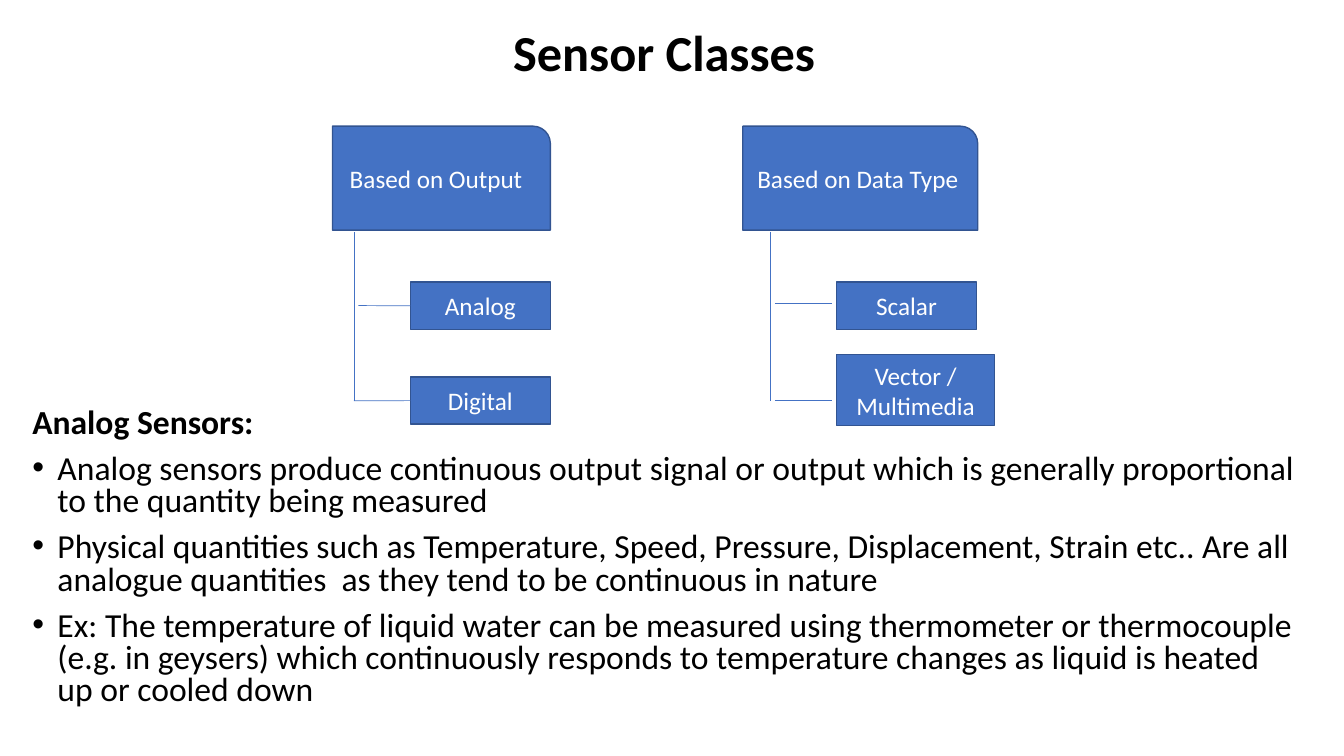
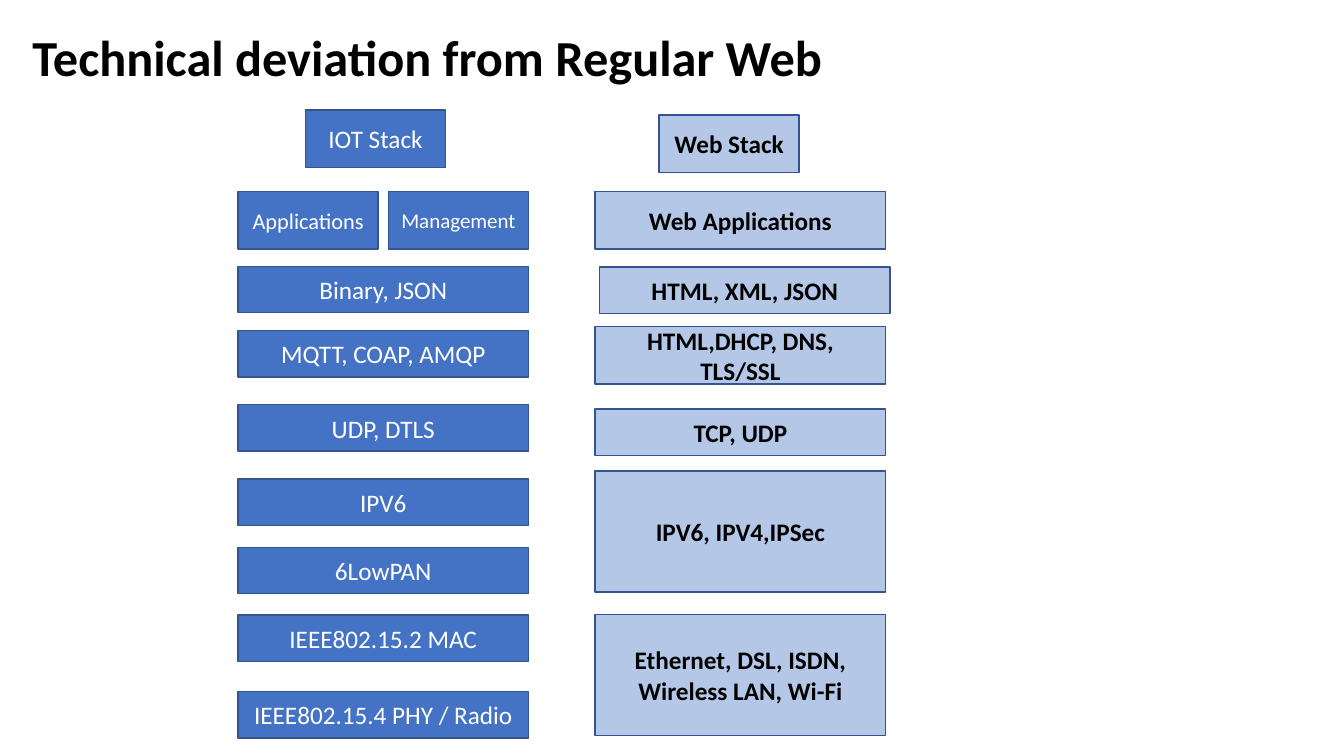
from lxml.etree import SubElement
from pptx import Presentation
from pptx.dml.color import RGBColor
from pptx.enum.shapes import MSO_CONNECTOR, MSO_SHAPE
from pptx.enum.text import MSO_ANCHOR, MSO_AUTO_SIZE, PP_ALIGN
from pptx.oxml.ns import qn
from pptx.util import Cm, Pt

# Shared style
FONT = "Calibri"
BLUE, PALE, EDGE = "4472C4", "B4C7E7", "325491"
BLACK, WHITE = "000000", "FFFFFF"
MARGIN, TEXT_WIDTH = 0.56, 32.36
TITLE_FONT = {"name": FONT, "size": Pt(36), "bold": True}
BODY_FONT = {"name": FONT, "size": Pt(24), "bold": False}
HEADING_FONT = {**BODY_FONT, "bold": True}
BOX_FONT = {"name": FONT, "size": Pt(18), "bold": False}
DARK_BOX = {"fill": BLUE, "ink": WHITE, "font": BOX_FONT}
PALE_BOX = {"fill": PALE, "ink": BLACK, "font": {**BOX_FONT, "bold": True}}
FRAME = {"word_wrap": True, "auto_size": MSO_AUTO_SIZE.NONE,
         "vertical_anchor": MSO_ANCHOR.TOP}


def set_all(target, values):
    for name, value in values.items():
        setattr(target, name, value)


def paint(color_format, color):
    color_format.rgb = RGBColor.from_string(color)


def write(para, text, font, color=BLACK):
    span = para.add_run()
    span.text = text
    set_all(span.font, font)
    paint(span.font.color, color)


def place(placeholder, top, height):
    set_all(placeholder, {"left": Cm(MARGIN), "top": Cm(top),
                          "width": Cm(TEXT_WIDTH), "height": Cm(height)})
    set_all(placeholder.text_frame, FRAME)


def add_page(deck, layout, title, align, spacing):
    page = deck.slides.add_slide(deck.slide_layouts[layout])
    place(page.shapes.title, 0.71, 2)
    para = page.shapes.title.text_frame.paragraphs[0]
    set_all(para, {"alignment": align, "line_spacing": spacing})
    write(para, title, TITLE_FONT)
    return page


def set_bullet(para, bulleted):
    properties = para._p.get_or_add_pPr()
    indent = Cm(0.635) if bulleted else 0
    properties.set("marL", str(indent))
    properties.set("indent", str(-indent))
    if bulleted:
        SubElement(properties, qn("a:buFont"), typeface="Arial")
        SubElement(properties, qn("a:buChar"), char="•")
    else:
        SubElement(properties, qn("a:buNone"))


def fill_body(body, heading, points):
    place(body, 10.16, 8.4)
    frame = body.text_frame
    for index, text in enumerate([heading, *points]):
        para = frame.add_paragraph() if index else frame.paragraphs[0]
        set_all(para, {"alignment": PP_ALIGN.LEFT, "line_spacing": 0.8,
                       "space_before": Pt(10)})
        set_bullet(para, index > 0)
        write(para, text, BODY_FONT if index else HEADING_FONT)


def add_box(page, text, left, top, width, height, style=DARK_BOX,
            outline=MSO_SHAPE.RECTANGLE):
    box = page.shapes.add_shape(outline, Cm(left), Cm(top), Cm(width), Cm(height))
    box.shadow.inherit = False
    box.fill.solid()
    paint(box.fill.fore_color, style["fill"])
    paint(box.line.color, EDGE)
    box.line.width = Pt(1)
    set_all(box.text_frame, {"word_wrap": True, "vertical_anchor": MSO_ANCHOR.MIDDLE})
    para = box.text_frame.paragraphs[0]
    para.alignment = PP_ALIGN.CENTER
    write(para, text, style["font"], style["ink"])
    return box


def add_line(page, start, end, target=None):
    line = page.shapes.add_connector(MSO_CONNECTOR.STRAIGHT,
                                     *(Cm(value) for value in (*start, *end)))
    if target is not None:
        line.end_connect(target, 1)
    paint(line.line.color, BLUE)
    line.line.width = Pt(0.5)
    SubElement(line._element.spPr, qn("a:effectLst"))


def build_sensor_classes(deck):
    page = add_page(deck, 1, "Sensor Classes", PP_ALIGN.CENTER, 0.8)
    fill_body(page.placeholders[1], "Analog Sensors:", [
        "Analog sensors produce continuous output signal or output which is "
        "generally proportional to the quantity being measured",
        "Physical quantities such as Temperature, Speed, Pressure, Displacement, "
        "Strain etc.. Are all analogue quantities  as they tend to be continuous in nature",
        "Ex: The temperature of liquid water can be measured using thermometer or "
        "thermocouple (e.g. in geysers) which continuously responds to temperature "
        "changes as liquid is heated up or cooled down",
    ])

    # Class headings and their members
    for text, left, width in (("Based on Output ", 8.38, 5.49),
                              ("Based on Data Type", 18.72, 5.92)):
        add_box(page, text, left, 3.18, width, 2.62,
                outline=MSO_SHAPE.ROUND_1_RECTANGLE)
    analog = add_box(page, "Analog", 10.34, 7.11, 3.53, 1.19)
    digital = add_box(page, "Digital", 10.34, 9.5, 3.53, 1.19)
    add_box(page, "Scalar", 21.08, 7.11, 3.53, 1.19)
    add_box(page, "Vector / Multimedia", 21.08, 8.94, 3.99, 1.78)

    # Trunks, then branches
    for trunk in (8.92, 19.41):
        add_line(page, (trunk, 5.84), (trunk, 10.1))
    add_line(page, (9.03, 7.7), (10.34, 7.7), analog)
    add_line(page, (8.92, 10.1), (10.34, 10.1), digital)
    for level in (7.65, 10.1):
        add_line(page, (19.53, level), (20.97, level))


def build_stacks(deck):
    page = add_page(deck, 5, "Technical deviation from Regular Web",
                    PP_ALIGN.LEFT, 0.9)
    iot_left, web_left, full, half = 6, 15, 7.32, 3.53
    low, medium, high = 1.17, 1.45, 3.05

    # IoT stack
    add_box(page, "IOT Stack", 7.7, 2.77, half, medium)
    for text, left, size in (("Applications", iot_left, 16),
                             ("Management", iot_left + full - half, 15)):
        style = {**DARK_BOX, "font": {**BOX_FONT, "size": Pt(size)}}
        add_box(page, text, left, 4.83, half, medium, style)
    for text, top in (("Binary, JSON", 6.71), ("MQTT, COAP, AMQP", 8.33),
                      ("UDP, DTLS", 10.2), ("IPV6", 12.07), ("6LowPAN", 13.79),
                      ("IEEE802.15.2 MAC", 15.5),
                      ("IEEE802.15.4 PHY / Radio", 17.43)):
        add_box(page, text, iot_left, top, full, low)

    # Web stack
    add_box(page, "Web Stack", 16.61, 2.9, half, medium, PALE_BOX)
    for text, left, top, height in (
            ("Web Applications", web_left, 4.83, medium),
            ("HTML, XML, JSON", 15.11, 6.73, low),
            ("HTML,DHCP, DNS, TLS/SSL", web_left, 8.23, medium),
            ("TCP, UDP", web_left, 10.31, low),
            ("IPV6, IPV4,IPSec", web_left, 11.87, high),
            ("Ethernet, DSL, ISDN, Wireless LAN, Wi-Fi", web_left, 15.48, high)):
        add_box(page, text, left, top, full, height, PALE_BOX)


def main():
    deck = Presentation()
    set_all(deck, {"slide_width": Cm(33.87), "slide_height": Cm(19.05)})
    build_sensor_classes(deck)
    build_stacks(deck)
    deck.save("out.pptx")


if __name__ == "__main__":
    main()
